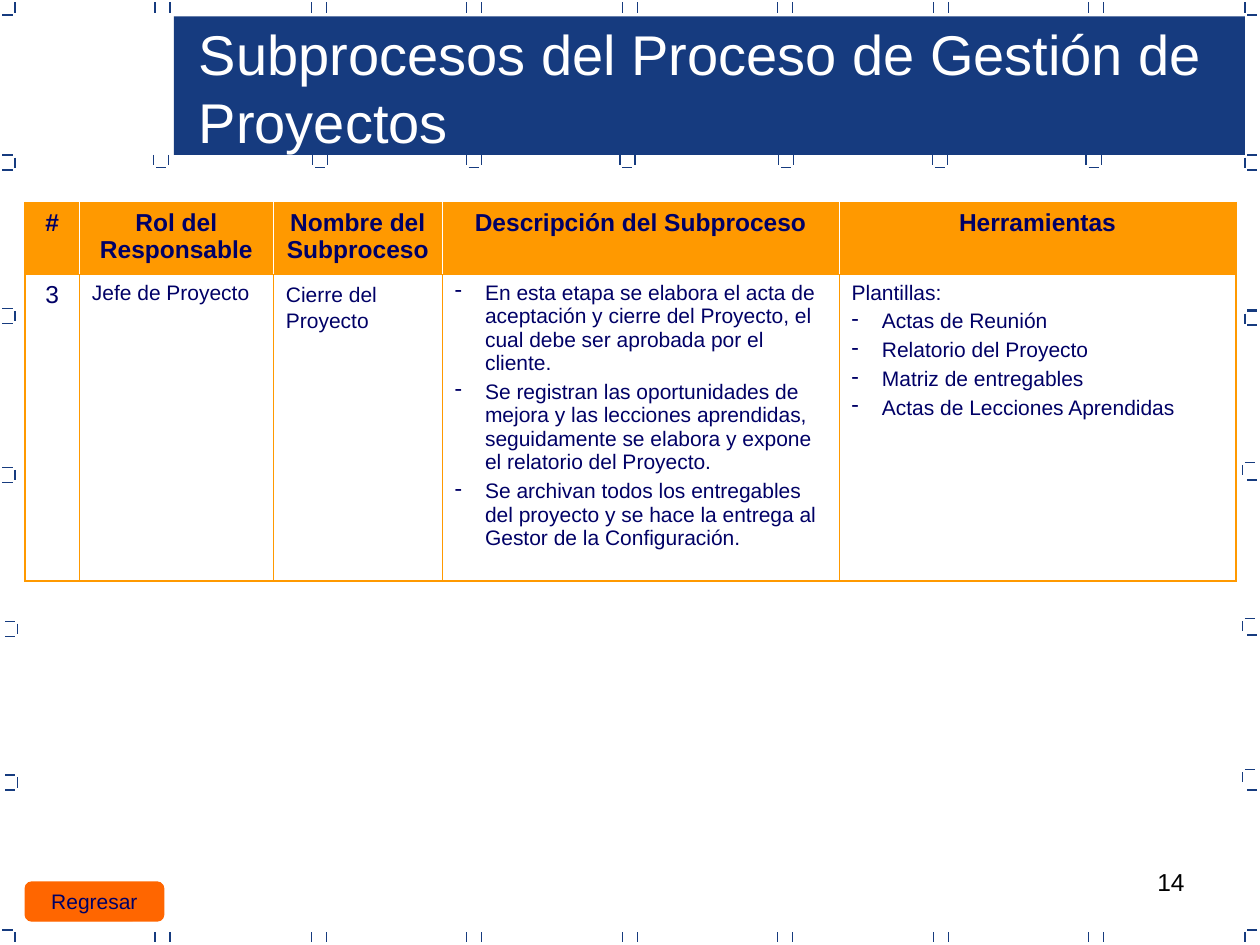
from dataclasses import dataclass

from lxml.etree import SubElement
from pptx import Presentation
from pptx.dml.color import RGBColor
from pptx.enum.shapes import MSO_CONNECTOR, MSO_SHAPE
from pptx.enum.text import MSO_ANCHOR, PP_ALIGN
from pptx.oxml import parse_xml
from pptx.oxml.ns import nsdecls, qn
from pptx.util import Pt

PX = 9144  # 100 px to the inch
BLUE = RGBColor(0x16, 0x3B, 0x7F)
NAVY = RGBColor(0x00, 0x00, 0x66)
ORANGE = RGBColor(0xFF, 0x99, 0x00)
DEEP_ORANGE = RGBColor(0xFF, 0x66, 0x00)
WHITE = RGBColor(0xFF, 0xFF, 0xFF)
BLACK = RGBColor(0x00, 0x00, 0x00)
FONT = "Arial"
TICK = 8
GAP = 2
PAIR = 12
INDENT = 24


@dataclass(frozen=True)
class EdgeMark:
    """An upright tick with flat ticks on its outer side, above and below."""
    x: int
    y: int
    above: bool = True
    below: bool = True


@dataclass(frozen=True)
class Column:
    width: int
    heading: str
    lines: tuple[str, ...]
    size: int = 12
    centred: bool = False
    spacing: float | None = None


LEFT_MARKS = [
    EdgeMark(12, 2, above=False), EdgeMark(12, 125), EdgeMark(12, 247),
    EdgeMark(12, 373), EdgeMark(14, 495), EdgeMark(14, 617),
    EdgeMark(12, 740, below=False),
]
RIGHT_MARKS = [
    EdgeMark(988, 2, above=False), EdgeMark(988, 125),
    EdgeMark(988, 249, below=False), EdgeMark(986, 369, below=False),
    EdgeMark(986, 493, below=False), EdgeMark(986, 613, below=False),
    EdgeMark(988, 740, below=False),
]
RIGHT_FLAT_TICKS = [246, 258, 381, 504, 627]
CUPS = [122, 248, 370, 492, 618, 740, 862]

COLUMNS = [
    Column(43, "#", ("3",), size=14, centred=True),
    Column(154, "Rol del Responsable", ("Jefe de Proyecto",)),
    Column(134, "Nombre del Subproceso", ("Cierre del Proyecto",), spacing=1.1),
    Column(315, "Descripción del Subproceso", (
        "- En esta etapa se elabora el acta de aceptación y cierre del Proyecto, "
        "el cual debe ser aprobada por el cliente.",
        "- Se registran las oportunidades de mejora y las lecciones aprendidas, "
        "seguidamente se elabora y expone el relatorio del Proyecto.",
        "- Se archivan todos los entregables del proyecto y se hace la entrega al "
        "Gestor de la Configuración.",
    )),
    Column(315, "Herramientas", (
        "Plantillas:", "- Actas de Reunión", "- Relatorio del Proyecto",
        "- Matriz de entregables", "- Actas de Lecciones Aprendidas",
    )),
]
ROW_HEIGHTS = (57, 243)


def box_px(*lengths: int) -> list[int]:
    return [length * PX for length in lengths]


def style(paragraph, size: int, color: RGBColor, bold: bool = False) -> None:
    for span in paragraph.runs:
        span.font.name = FONT
        span.font.size = Pt(size)
        span.font.bold = bold
        span.font.color.rgb = color


def add_tick(page, x: int, y: int, upright: bool) -> None:
    end_x, end_y = (x, y + TICK) if upright else (x + TICK, y)
    line = page.shapes.add_connector(
        MSO_CONNECTOR.STRAIGHT, *box_px(x, y, end_x, end_y))
    line.line.color.rgb = BLUE
    line.line.width = Pt(0.75)
    SubElement(line._element.spPr, qn("a:effectLst"))


def add_edge_mark(page, mark: EdgeMark, flat_offset: int) -> None:
    add_tick(page, mark.x, mark.y, upright=True)
    if mark.above:
        add_tick(page, mark.x + flat_offset, mark.y - GAP, upright=False)
    if mark.below:
        add_tick(page, mark.x + flat_offset, mark.y + TICK + GAP, upright=False)


def add_frame(page) -> None:
    """Draw the dashed ticks around the page and under the banner."""
    for index in range(1, 8):
        left = round(864 * index / 7)
        for x in (left, left + PAIR):
            for y in (2, 740):
                add_tick(page, x, y, upright=True)
    for mark in LEFT_MARKS:
        add_edge_mark(page, mark, -TICK - GAP)
    for mark in RIGHT_MARKS:
        add_edge_mark(page, mark, GAP)
    for y in RIGHT_FLAT_TICKS:
        add_tick(page, 990, y, upright=False)
    for x in CUPS:
        add_tick(page, x, 123, upright=True)
        add_tick(page, x + PAIR, 123, upright=True)
        add_tick(page, x + GAP, 133, upright=False)


def add_block(page, kind: MSO_SHAPE, place: tuple[int, ...], color: RGBColor):
    block = page.shapes.add_shape(kind, *box_px(*place))
    block.shadow.inherit = False
    block.fill.solid()
    block.fill.fore_color.rgb = color
    block.line.fill.background()
    return block


def add_text(page, place: tuple[int, ...], text: str, size: int,
             color: RGBColor, align: PP_ALIGN = PP_ALIGN.LEFT) -> None:
    frame = page.shapes.add_textbox(*box_px(*place)).text_frame
    frame.word_wrap = True
    para = frame.paragraphs[0]
    para.text = text
    para.alignment = align
    style(para, size, color)


def set_borders(cell, row: int, column: int) -> None:
    first, last = column == 0, column == len(COLUMNS) - 1
    inner = (WHITE, 0.45) if row == 0 else (ORANGE, 0.75)
    outer = (ORANGE, 1.08)
    middle = (ORANGE, 0.75)
    sides = {
        "lnL": outer if first else inner,
        "lnR": outer if last else inner,
        "lnT": outer if row == 0 else middle,
        "lnB": middle if row == 0 else outer,
    }
    properties = cell._tc.get_or_add_tcPr()
    for index, (side, (color, width)) in enumerate(sides.items()):
        properties.insert(index, parse_xml(
            f'<a:{side} {nsdecls("a")} w="{Pt(width)}"><a:solidFill>'
            f'<a:srgbClr val="{color}"/></a:solidFill></a:{side}>'))


def set_dash_bullet(para) -> None:
    properties = para._p.get_or_add_pPr()
    properties.set("marL", str(INDENT * PX))
    properties.set("indent", str(-INDENT * PX))
    color = SubElement(properties, qn("a:buClr"))
    SubElement(color, qn("a:srgbClr")).set("val", str(NAVY))
    SubElement(properties, qn("a:buChar")).set("char", "-")


def fill_body(cell, column: Column) -> None:
    frame = cell.text_frame
    for index, line in enumerate(column.lines):
        para = frame.add_paragraph() if index else frame.paragraphs[0]
        para.text = line.removeprefix("- ")
        if line.startswith("- "):
            set_dash_bullet(para)
        if index:
            para.space_before = Pt(3)
        if column.spacing:
            para.line_spacing = column.spacing
        if column.centred:
            para.alignment = PP_ALIGN.CENTER
        style(para, column.size, NAVY)


def add_process_table(page) -> None:
    width = sum(column.width for column in COLUMNS)
    table = page.shapes.add_table(
        len(ROW_HEIGHTS), len(COLUMNS),
        *box_px(20, 161, width, sum(ROW_HEIGHTS))).table
    table.first_row = table.horz_banding = False
    for row, height in zip(table.rows, ROW_HEIGHTS):
        row.height = height * PX
    for index, column in enumerate(COLUMNS):
        table.columns[index].width = column.width * PX
        heading, body = table.cell(0, index), table.cell(1, index)
        heading.fill.solid()
        heading.fill.fore_color.rgb = ORANGE
        para = heading.text_frame.paragraphs[0]
        para.text = column.heading
        para.alignment = PP_ALIGN.CENTER
        style(para, 14, NAVY, bold=True)
        body.fill.background()
        fill_body(body, column)
        set_borders(heading, 0, index)
        set_borders(body, 1, index)


def add_back_button(page) -> None:
    button = add_block(page, MSO_SHAPE.FLOWCHART_ALTERNATE_PROCESS,
                       (20, 700, 110, 31), DEEP_ORANGE)
    button.line.color.rgb = DEEP_ORANGE
    button.line.width = Pt(0.75)
    frame = button.text_frame
    frame.word_wrap = False
    frame.vertical_anchor = MSO_ANCHOR.MIDDLE
    para = frame.paragraphs[0]
    para.text = "Regresar"
    para.alignment = PP_ALIGN.CENTER
    style(para, 12, NAVY)


def main() -> None:
    deck = Presentation()
    deck.slide_width, deck.slide_height = box_px(1000, 750)
    page = deck.slides.add_slide(deck.slide_layouts[6])
    add_text(page, (717, 683, 233, 52), "14", 14, BLACK, PP_ALIGN.RIGHT)
    add_frame(page)
    add_block(page, MSO_SHAPE.RECTANGLE, (138, 13, 850, 110), BLUE)
    add_process_table(page)
    add_back_button(page)
    add_text(page, (148, 11, 832, 117),
             "Subprocesos del Proceso de Gestión de Proyectos", 32, WHITE)
    deck.save("out.pptx")


if __name__ == "__main__":
    main()
